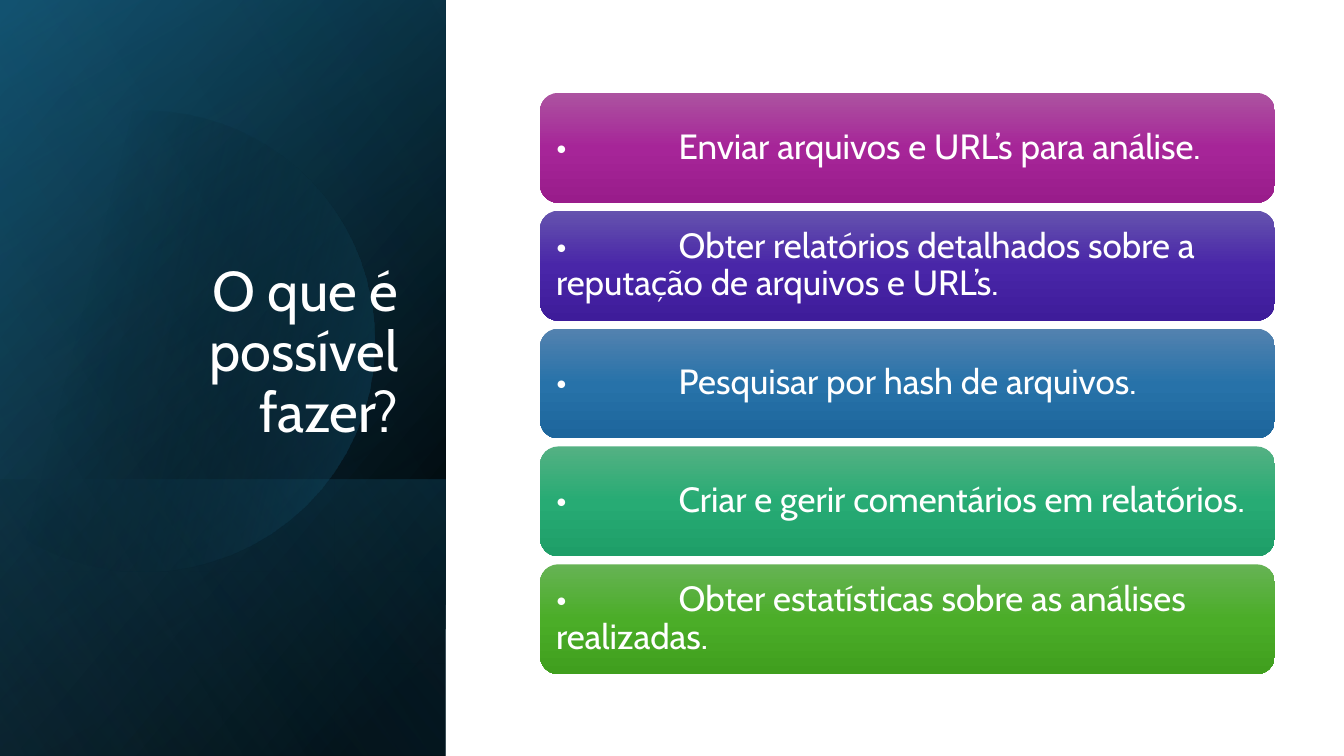
"""Build the slide that lists what the analysis service lets its users do."""
import lxml.etree
import pptx
import pptx.dml.color
import pptx.enum.shapes
import pptx.enum.text
import pptx.oxml.ns
import pptx.util

Cm = pptx.util.Cm
Pt = pptx.util.Pt
RGB = pptx.dml.color.RGBColor
SHAPES = pptx.enum.shapes.MSO_SHAPE
qn = pptx.oxml.ns.qn

WHITE = RGB(0xFF, 0xFF, 0xFF)
BLACK = RGB(0x00, 0x00, 0x00)
NAVY = RGB(0x10, 0x48, 0x62)
TEAL = RGB(0x15, 0x60, 0x82)
SKY = RGB(0x46, 0xB1, 0xE1)
FONT = "Cabin"

QUESTION = "O que é possível fazer?"
FEATURES = [
    ("Enviar arquivos e URL’s para análise.",
     (RGB(0xAC, 0x53, 0xA0), RGB(0xA6, 0x25, 0x98), RGB(0x99, 0x1C, 0x8B))),
    ("Obter relatórios detalhados sobre a reputação de arquivos e URL’s.",
     (RGB(0x65, 0x53, 0xAE), RGB(0x49, 0x26, 0xA8), RGB(0x3E, 0x1C, 0x9A))),
    ("Pesquisar por hash de arquivos.",
     (RGB(0x53, 0x82, 0xAF), RGB(0x27, 0x72, 0xA9), RGB(0x1D, 0x66, 0x9C))),
    ("Criar e gerir comentários em relatórios.",
     (RGB(0x54, 0xB1, 0x83), RGB(0x27, 0xAB, 0x74), RGB(0x1E, 0x9E, 0x68))),
    ("Obter estatísticas sobre as análises realizadas.",
     (RGB(0x66, 0xB3, 0x54), RGB(0x4B, 0xAD, 0x28), RGB(0x40, 0x9F, 0x1E))),
]

SLIDE_WIDTH, SLIDE_HEIGHT = 33.87, 19.05
PANEL_WIDTH, FOOT_HEIGHT = 11.23, 6.96
BAR_LEFT, BAR_TOP, BAR_WIDTH, BAR_HEIGHT, BAR_PITCH = 13.61, 2.34, 18.52, 2.77, 2.97

# Each stop is position %, colour, opacity %.
PANELS_BELOW_DISC = [
    (SLIDE_HEIGHT, 50, [(8, BLACK, 100), (100, NAVY, 100)]),
    (SLIDE_HEIGHT, 30, [(0, BLACK, 0), (99, TEAL, 46)]),
    (FOOT_HEIGHT, 130, [(2, TEAL, 29), (100, BLACK, 30)]),
]
PANEL_ABOVE_DISC = (SLIDE_HEIGHT, 120, [(0, BLACK, 0), (99, SKY, 11)])
DISC_ANGLE, DISC_STOPS = 14, [(29, BLACK, 0), (100, TEAL, 43)]
DISC_START = (3.78, 2.79)
DISC_SEGMENTS = [
    [(6.25, 2.84), (8.51, 4.5), (9.22, 6.99)],
    [(10.11, 10.08), (8.33, 13.28), (5.26, 14.17)],
    [(3.33, 14.73), (1.35, 14.25), (-0.08, 13.06)],
    [(-0.38, 12.78)],
    [(-0.38, 4.45)],
    [(0, 4.09)],
    [(0.58, 3.61), (1.27, 3.25), (2.03, 3.02)],
    [(2.62, 2.87), (3.2, 2.79), DISC_START],
]
CURVE_STEPS = 16


def paint(shape, angle, stops):
    """Give a shape a clockwise linear gradient without line or shadow."""
    shape.shadow.inherit = False
    shape.line.fill.background()
    shape.fill.gradient()
    shape.fill.gradient_angle = 360 - angle
    stop_list = next(shape._element.spPr.iter(qn("a:gsLst")))
    for default_stop in list(stop_list):
        stop_list.remove(default_stop)
    for position, colour, opacity in stops:
        stop = lxml.etree.SubElement(stop_list, qn("a:gs"), pos=str(position * 1000))
        tint = lxml.etree.SubElement(stop, qn("a:srgbClr"), val=str(colour))
        if opacity < 100:
            lxml.etree.SubElement(tint, qn("a:alpha"), val=str(opacity * 1000))


def add_panel(slide, height, angle, stops):
    """Add a mirrored, quarter-turned panel at the lower left."""
    left = (PANEL_WIDTH - height) / 2
    top = SLIDE_HEIGHT - (height + PANEL_WIDTH) / 2
    panel = slide.shapes.add_shape(
        SHAPES.RECTANGLE, Cm(left), Cm(top), Cm(height), Cm(PANEL_WIDTH))
    panel.rotation = 90
    panel._element.spPr.find(qn("a:xfrm")).set("flipH", "1")
    paint(panel, angle, stops)


def disc_outline():
    """Return the points of the disc, with its curves sampled evenly."""
    outline, start = [], DISC_START
    for segment in DISC_SEGMENTS:
        if len(segment) == 1:
            outline.append(segment[0])
        else:
            for step in range(1, CURVE_STEPS + 1):
                t = step / CURVE_STEPS
                weights = ((1 - t) ** 3, 3 * t * (1 - t) ** 2, 3 * t * t * (1 - t), t ** 3)
                outline.append(tuple(
                    sum(w * point[axis] for w, point in zip(weights, [start, *segment]))
                    for axis in (0, 1)))
        start = segment[-1]
    return outline


def add_disc(slide):
    """Add the translucent disc over the panels."""
    builder = slide.shapes.build_freeform(*map(Cm, DISC_START))
    builder.add_line_segments([(Cm(x), Cm(y)) for x, y in disc_outline()], close=True)
    paint(builder.convert_to_shape(), DISC_ANGLE, DISC_STOPS)


def write(frame, text, size, alignment, anchor):
    """Write one white paragraph into a text frame."""
    frame.word_wrap = True
    frame.auto_size = pptx.enum.text.MSO_AUTO_SIZE.NONE
    frame.vertical_anchor = anchor
    paragraph = frame.paragraphs[0]
    paragraph.text = text
    paragraph.alignment = alignment
    paragraph.line_spacing = 0.9
    paragraph.font.name = FONT
    paragraph.font.size = Pt(size)
    paragraph.font.color.rgb = WHITE
    return paragraph


def add_feature(slide, row, feature, colours):
    """Add one feature bar in its row."""
    bar = slide.shapes.add_shape(
        SHAPES.ROUNDED_RECTANGLE, Cm(BAR_LEFT), Cm(BAR_TOP + row * BAR_PITCH),
        Cm(BAR_WIDTH), Cm(BAR_HEIGHT))
    paint(bar, 90, [(50 * i, colour, 100) for i, colour in enumerate(colours)])
    frame = bar.text_frame
    frame.margin_left = frame.margin_right = Cm(0.27)
    paragraph = write(frame, "•\t" + feature, 25, pptx.enum.text.PP_ALIGN.LEFT,
                      pptx.enum.text.MSO_ANCHOR.MIDDLE)
    paragraph._p.get_or_add_pPr().set("defTabSz", str(Cm(3.09)))


def main():
    """Build and save the slide."""
    deck = pptx.Presentation()
    deck.slide_width, deck.slide_height = Cm(SLIDE_WIDTH), Cm(SLIDE_HEIGHT)
    slide = deck.slides.add_slide(deck.slide_layouts[5])
    for panel in PANELS_BELOW_DISC:
        add_panel(slide, *panel)
    add_disc(slide)
    add_panel(slide, *PANEL_ABOVE_DISC)

    title = slide.shapes.title
    title.left, title.top, title.width, title.height = map(Cm, (1.63, 4.67, 8.66, 6.65))
    write(title.text_frame, QUESTION, 40, pptx.enum.text.PP_ALIGN.RIGHT,
          pptx.enum.text.MSO_ANCHOR.BOTTOM)
    slide.shapes._spTree.append(title._element)

    for row, (feature, colours) in enumerate(FEATURES):
        add_feature(slide, row, feature, colours)
    deck.save("out.pptx")


if __name__ == "__main__":
    main()
